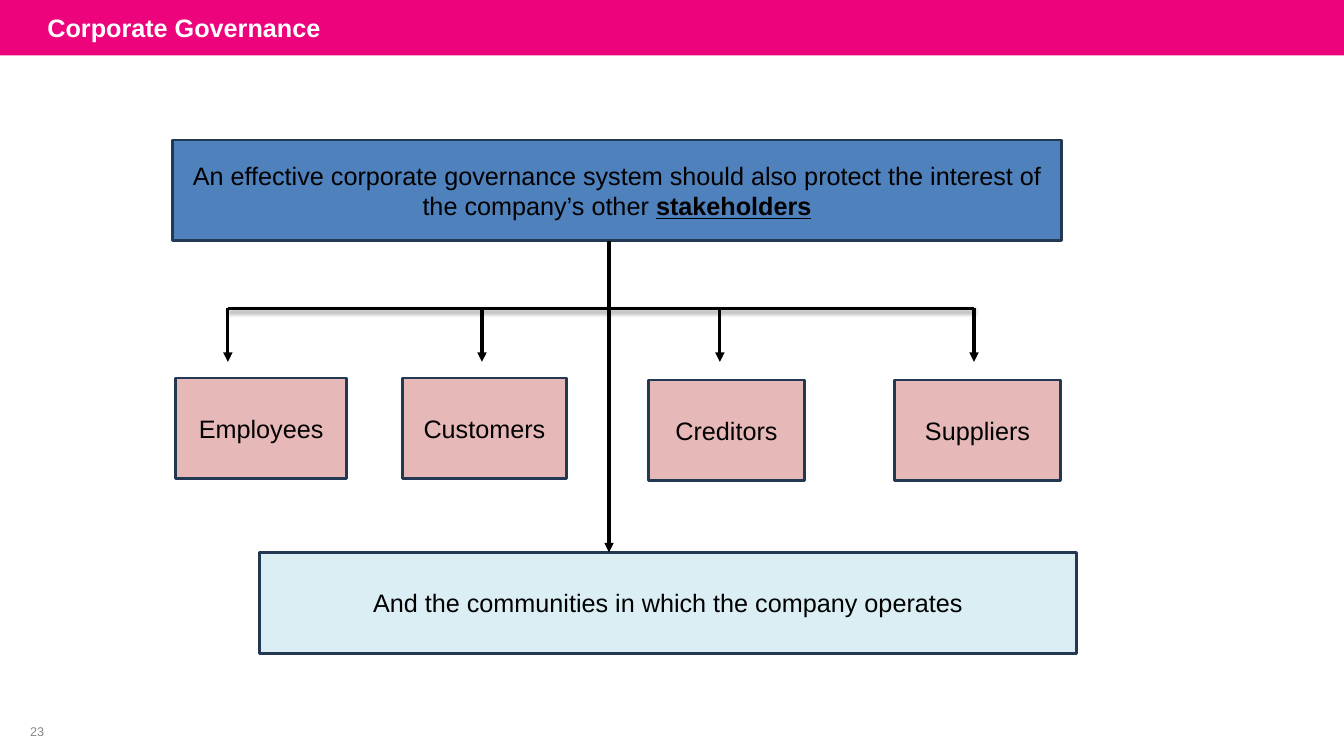
from lxml import etree
from pptx import Presentation
from pptx import util as u
from pptx.dml.color import RGBColor
from pptx.enum import shapes, text
from pptx.oxml.ns import qn
from pptx.util import Inches

COLOURS = {
    "band": "ED037C", "title": "FFFFFF", "number": "888888", "ink": "000000",
    "outline": "233953", "principle": "4F81BD", "stakeholder": "E6B9B8",
    "community": "DBEEF4",
}
STAKEHOLDERS = [
    ("Employees", 1.74, 3.75, 1.7, 2.26),
    ("Customers", 3.99, 3.75, 1.63, 4.78),
    ("Creditors", 6.43, 3.77, 1.55, 7.14),
    ("Suppliers", 8.87, 3.77, 1.65, 9.66),
]
BOX_HEIGHT = 1
BRANCH_Y, BRANCH_TIP = 3.06, 3.59


def colour(name):
    """Return the named colour."""
    return RGBColor.from_string(COLOURS[name])


def style_run(run, size, ink, bold=False, underline=False):
    """Format one run of text."""
    run.font.name = "Arial"
    run.font.size = u.Pt(size)
    run.font.bold = bold
    run.font.underline = underline
    run.font.color.rgb = colour(ink)


def add_band(slide):
    """Place the title band behind everything else."""
    band = slide.shapes.add_shape(
        shapes.MSO_SHAPE.RECTANGLE, 0, 0, Inches(13.33), Inches(0.55))
    band.shadow.inherit = False
    band.fill.solid()
    band.fill.fore_color.rgb = colour("band")
    band.line.fill.background()
    slide.shapes._spTree.insert(2, band._element)


def set_title(slide, wording):
    """Move and format the title placeholder."""
    title = slide.shapes.title
    title.left, title.top = Inches(0.37), Inches(0)
    title.width, title.height = Inches(10.5), Inches(0.55)
    frame = title.text_frame
    frame.text = wording
    frame.auto_size = text.MSO_AUTO_SIZE.NONE
    frame.vertical_anchor = text.MSO_ANCHOR.MIDDLE
    frame.paragraphs[0].alignment = text.PP_ALIGN.LEFT
    style_run(frame.paragraphs[0].runs[0], 18, "title", bold=True)


def add_page_number(slide, number):
    """Add the page number at the lower left."""
    page = slide.shapes.add_textbox(
        Inches(0.3), Inches(7.14), Inches(0.48), Inches(0.24))
    frame = page.text_frame
    frame.margin_left = frame.margin_right = 0
    frame.margin_top = frame.margin_bottom = 0
    frame.word_wrap = True
    frame.vertical_anchor = text.MSO_ANCHOR.MIDDLE
    frame.text = number
    style_run(frame.paragraphs[0].runs[0], 9, "number")


def add_box(slide, wording, left, top, width, fill, emphasis=None):
    """Add an outlined box, with an optional emphasised ending."""
    box = slide.shapes.add_shape(
        shapes.MSO_SHAPE.RECTANGLE,
        Inches(left), Inches(top), Inches(width), Inches(BOX_HEIGHT))
    box.shadow.inherit = False
    box.fill.solid()
    box.fill.fore_color.rgb = colour(fill)
    box.line.color.rgb = colour("outline")
    box.line.width = u.Pt(2)
    frame = box.text_frame
    frame.word_wrap = True
    frame.vertical_anchor = text.MSO_ANCHOR.MIDDLE
    frame.text = wording
    paragraph = frame.paragraphs[0]
    paragraph.alignment = text.PP_ALIGN.CENTER
    style_run(paragraph.runs[0], 18, "ink")
    if emphasis:
        ending = paragraph.add_run()
        ending.text = emphasis
        style_run(ending, 18, "ink", bold=True, underline=True)


def add_line(slide, start, end, width):
    """Add a straight line and return it with its empty effect list."""
    line = slide.shapes.add_connector(
        shapes.MSO_CONNECTOR.STRAIGHT, *map(Inches, start + end))
    line.line.color.rgb = colour("ink")
    line.line.width = u.Pt(width)
    effects = etree.SubElement(line._element.spPr, qn("a:effectLst"))
    return line, effects


def add_arrow(slide, start, end):
    """Add a line that ends in a triangle."""
    arrow, _ = add_line(slide, start, end, 2.25)
    etree.SubElement(arrow.line._get_or_add_ln(), qn("a:tailEnd"), type="triangle")


def add_shadowed_line(slide, start, end):
    """Add a line with a soft shadow below it."""
    _, effects = add_line(slide, start, end, 2)
    shadow = etree.SubElement(
        effects, qn("a:outerShdw"), blurRad=str(u.Pt(3.1)),
        dist=str(u.Pt(1.6)), dir="5400000", rotWithShape="0")
    tint = etree.SubElement(shadow, qn("a:srgbClr"), val=COLOURS["ink"])
    etree.SubElement(tint, qn("a:alpha"), val="38000")


def main():
    """Build and save the slide."""
    deck = Presentation()
    deck.slide_width, deck.slide_height = Inches(13.33), Inches(7.5)
    slide = deck.slides.add_slide(deck.slide_layouts[5])
    add_band(slide)
    set_title(slide, "Corporate Governance")
    add_page_number(slide, "23")
    add_box(slide, "An effective corporate governance system should also protect "
            "the interest of the company’s other ", 1.71, 1.39, 8.82,
            "principle", emphasis="stakeholders")
    for name, left, top, width, _ in STAKEHOLDERS:
        add_box(slide, name, left, top, width, "stakeholder")
    add_box(slide, "And the communities in which the company operates",
            2.57, 5.48, 8.11, "community")
    branches = [branch for *_, branch in STAKEHOLDERS]
    add_shadowed_line(slide, (branches[0], BRANCH_Y), (branches[-1], BRANCH_Y))
    for branch in branches:
        add_arrow(slide, (branch, BRANCH_Y), (branch, BRANCH_TIP))
    add_arrow(slide, (6.04, 2.39), (6.04, 5.48))
    deck.save("out.pptx")


if __name__ == "__main__":
    main()
